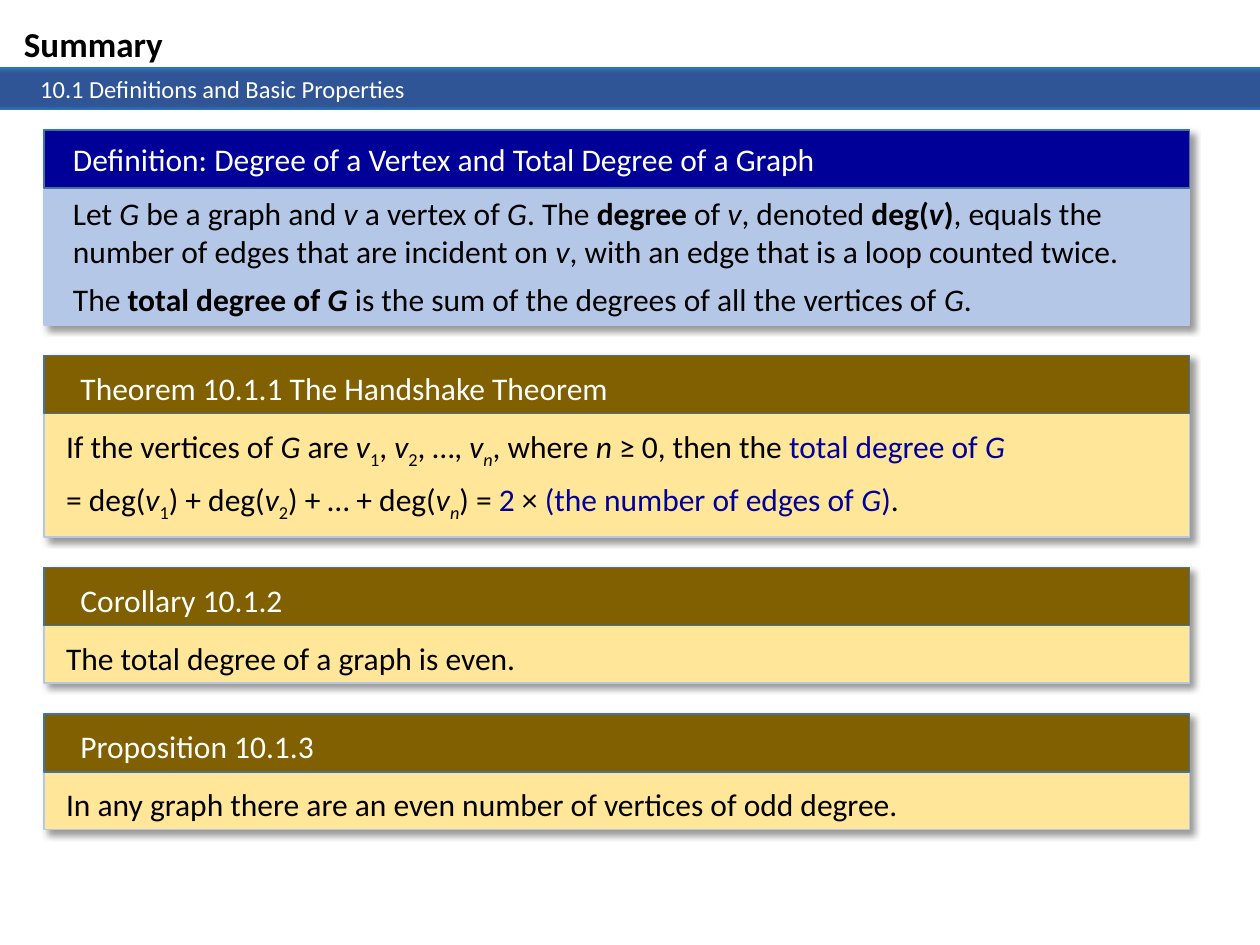
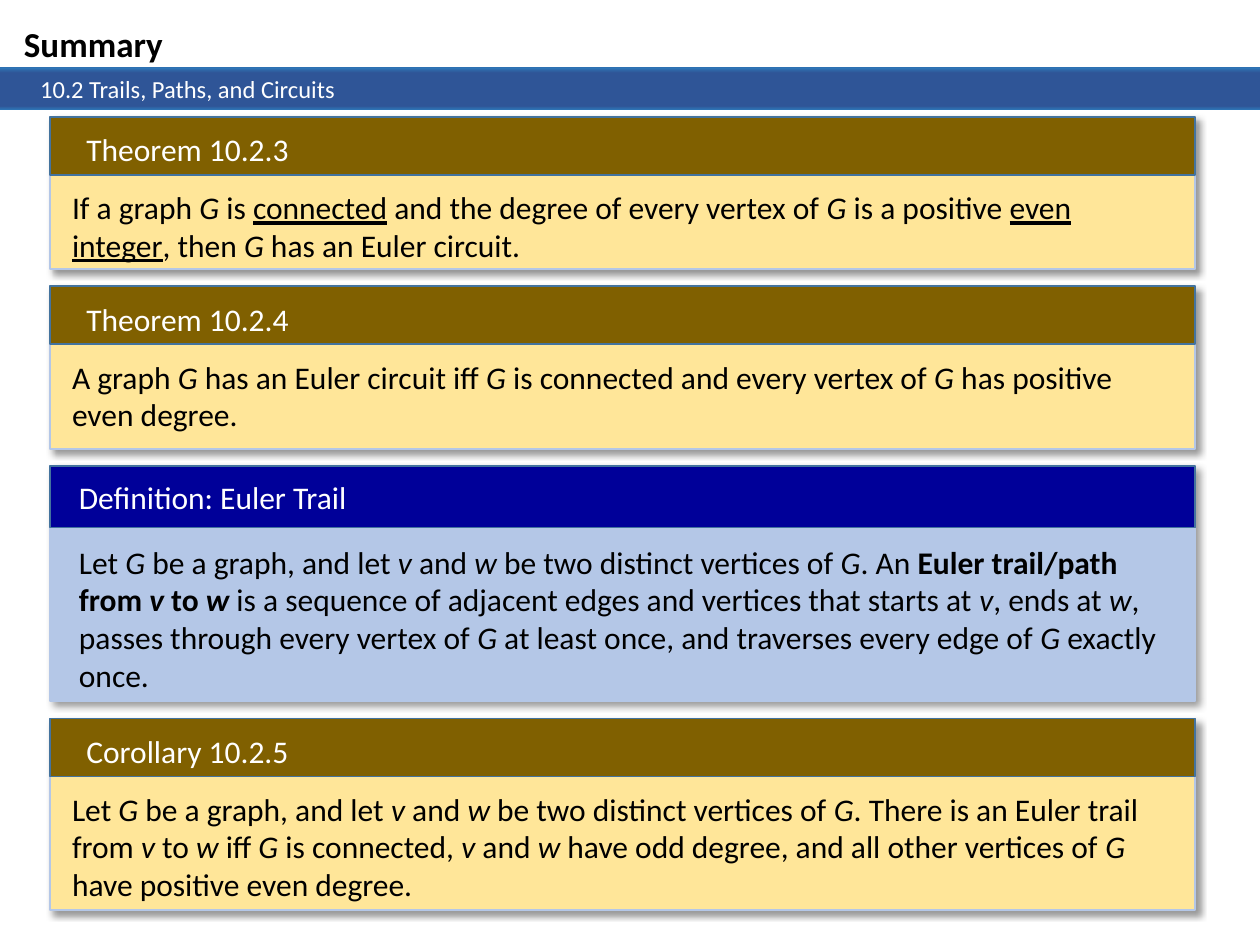
from pptx import Presentation
from pptx.dml.color import RGBColor
from pptx.enum.shapes import MSO_SHAPE
from pptx.enum.text import MSO_ANCHOR, MSO_AUTO_SIZE, PP_ALIGN
from pptx.oxml import parse_xml
from pptx.oxml.ns import nsdecls
from pptx.util import Pt

RECT = MSO_SHAPE.RECTANGLE
LEFT = PP_ALIGN.LEFT
TOP, MIDDLE = MSO_ANCHOR.TOP, MSO_ANCHOR.MIDDLE
NONE, GROW = MSO_AUTO_SIZE.NONE, MSO_AUTO_SIZE.SHAPE_TO_FIT_TEXT

FONT = "Calibri"
WIDE, CARD = 720, 654.5
HEX = {
    "black": "000000", "white": "FFFFFF", "navy": "000099",
    "sky": "B4C7E7", "brown": "806000", "cream": "FFE699",
    "edge": "43739E", "rim": "2E75B6", "core": "2F5597",
}
STOPS = [(0, "rim"), (11, "core"), (91, "core"), (100, "rim")]

# kind: head colour, body colour, head text (left, width), body text (left, width)
KINDS = {
    "def": ("navy", "sky", (9.4, 640), (9.4, 632.5)),
    "law": ("brown", "cream", (13.7, 581), (5.5, 636.5)),
}
# head height, drop of head text, drop of body text
PLAIN = (33.2, 4, 4)
TIGHT = (33.2, 2.2, 0)
ROOMY = (35.3, 3.6, 5)

SLIDES = [
    ("10.1 Definitions and Basic Properties", 25.2, 74.2, 17.4, [
        ("def", TIGHT, 111.6,
         "Definition: Degree of a Vertex and Total Degree of a Graph",
         ["Let _G _be a graph and _v_ a vertex of _G_. The *degree* of _v_, "
          "denoted *deg(_v_)*, equals the number of edges that are incident "
          "on _v_, with an edge that is a loop counted twice.",
          "The *total degree of _G_* is the sum of the degrees of all the "
          "vertices of _G_."]),
        ("law", PLAIN, 103.7, "Theorem 10.1.1 The Handshake Theorem",
         ["If the vertices of _G_ are _v_~1~, _v_~2~, …, _v~n~_, where "
          "_n _≥ 0, then the |total degree of _G_|",
          "= deg(_v_~1~) + deg(_v_~2~) + … + deg(_v~n~_) = |2| × "
          "|(the number of edges of _G_)|."]),
        ("law", PLAIN, 66.2, "Corollary 10.1.2",
         ["The total degree of a graph is even."]),
        ("law", PLAIN, 66.2, "Proposition 10.1.3",
         ["In any graph there are an even number of vertices of odd "
          "degree."]),
    ]),
    ("10.2 Trails, Paths, and Circuits", 28.6, 66.8, 9.7, [
        ("law", PLAIN, 87.1, "Theorem 10.2.3",
         ["If a graph _G_ is ^connected^ and the degree of every vertex of "
          "_G_ is a positive ^even integer^, then _G_ has an Euler "
          "circuit."]),
        ("law", PLAIN, 92.9, "Theorem 10.2.4",
         ["A graph _G_ has an Euler circuit iff _G_ is connected and every "
          "vertex of _G_ has positive even degree."]),
        ("def", ROOMY, 134.6, "Definition: Euler Trail",
         ["Let _G_ be a graph, and let _v_ and _w_ be two distinct vertices "
          "of _G_. An *Euler trail/path from _v_ to _w_* is a sequence of "
          "adjacent edges and vertices that starts at _v_, ends at _w_, "
          "passes through every vertex of _G_ at least once, and traverses "
          "every edge of _G_ exactly once."]),
        ("law", PLAIN, 109.4, "Corollary 10.2.5",
         ["Let _G_ be a graph, and let _v_ and _w_ be two distinct vertices "
          "of _G_. There is an Euler trail from _v_ to _w _iff _G_ is "
          "connected, _v_ and _w_ have odd degree, and all other vertices "
          "of _G_ have positive even degree."]),
    ]),
]


def tint(name):
    return RGBColor.from_string(HEX[name])


def style(para, size, color, bold=None):
    font = para.font
    font.name, font.size, font.bold = FONT, Pt(size), bold
    font.color.rgb = tint(color)
    para.alignment = LEFT


def add_run(para, text, marks):
    run = para.add_run()
    run.text = text
    font = run.font
    if "_" in marks:
        font.italic = True
    if "*" in marks:
        font.bold = True
    if "^" in marks:
        font.underline = True
    if "|" in marks:
        font.color.rgb = tint("navy")
    if "~" in marks:
        font._element.set("baseline", "-25000")


def write(para, text):
    marks, part = set(), ""
    for char in text:
        if char in "_*^|~":
            if part:
                add_run(para, part, marks)
            marks ^= {char}
            part = ""
        else:
            part += char
    if part:
        add_run(para, part, marks)


def add_box(shapes, x, y, w, h):
    box = shapes.add_shape(RECT, Pt(x), Pt(y), Pt(w), Pt(h))
    box.shadow.inherit = False
    return box


def add_panel(shapes, x, y, h, fill, line):
    box = add_box(shapes, x, y, CARD, h)
    box.fill.solid()
    box.fill.fore_color.rgb = tint(fill)
    box.line.color.rgb = tint(line)
    box.line.width = Pt(1)
    return box


def add_shade(box):
    effect = box._element.spPr.find(
        "{http://schemas.openxmlformats.org/drawingml/2006/main}effectLst")
    effect.append(parse_xml(
        f'<a:outerShdw {nsdecls("a")} blurRad="{Pt(4)}" dist="{Pt(3)}" '
        'dir="2700000" algn="tl" rotWithShape="0">'
        f'<a:srgbClr val="{HEX["black"]}"><a:alpha val="40000"/></a:srgbClr>'
        '</a:outerShdw>'))


def add_text(shapes, x, y, w, h, lines, color, after=None):
    frame = shapes.add_textbox(Pt(x), Pt(y), Pt(w), Pt(h)).text_frame
    frame.word_wrap = True
    frame.auto_size = GROW
    for i, line in enumerate(lines):
        para = frame.add_paragraph() if i else frame.paragraphs[0]
        style(para, 18, color)
        if after:
            para.space_after = Pt(after)
        write(para, line)


def add_card(slide, x, y, kind, sizes, h, head, body):
    dark, light, (hx, hw), (bx, bw) = KINDS[kind]
    top, drop, gap = sizes
    shapes = slide.shapes.add_group_shape().shapes
    add_shade(add_panel(shapes, x, y, h, light, "sky"))
    add_panel(shapes, x, y, top, dark, "edge")
    add_text(shapes, x + hx, y + drop, hw, 29, [head], "white")
    add_text(shapes, x + bx, y + top + gap, bw, h - top - gap, body,
             "black", 6)


def add_band(slide, y, h):
    band = add_box(slide.shapes, 0, y, WIDE, h)
    stops = "".join(
        f'<a:gs pos="{pos * 1000}"><a:srgbClr val="{HEX[name]}"/></a:gs>'
        for pos, name in STOPS)
    band._element.spPr.insert(2, parse_xml(
        f'<a:gradFill {nsdecls("a")}><a:gsLst>{stops}</a:gsLst>'
        '<a:lin ang="5400000" scaled="0"/></a:gradFill>'))
    band.line.fill.background()
    return band


def add_top(slide, topic):
    add_band(slide, 38.2, 21.6)
    frame = add_band(slide, 39, 23.8).text_frame
    frame.margin_left = Pt(23)
    frame.vertical_anchor = MIDDLE
    para = frame.paragraphs[0]
    para.text = topic
    style(para, 14, "white")
    title = slide.shapes.title
    title.left, title.top, title.width, title.height = (
        Pt(6.5), Pt(9.4), Pt(193.7), Pt(31.7))
    frame = title.text_frame
    frame.text = "Summary"
    frame.auto_size = NONE
    frame.vertical_anchor = TOP
    style(frame.paragraphs[0], 20, "black", True)


def main():
    deck = Presentation()
    deck.slide_width, deck.slide_height = Pt(WIDE), Pt(540)
    for topic, x, y, gap, cards in SLIDES:
        slide = deck.slides.add_slide(deck.slide_layouts[5])
        add_top(slide, topic)
        for kind, sizes, h, head, body in cards:
            add_card(slide, x, y, kind, sizes, h, head, body)
            y += h + gap
    deck.save("out.pptx")


main()
